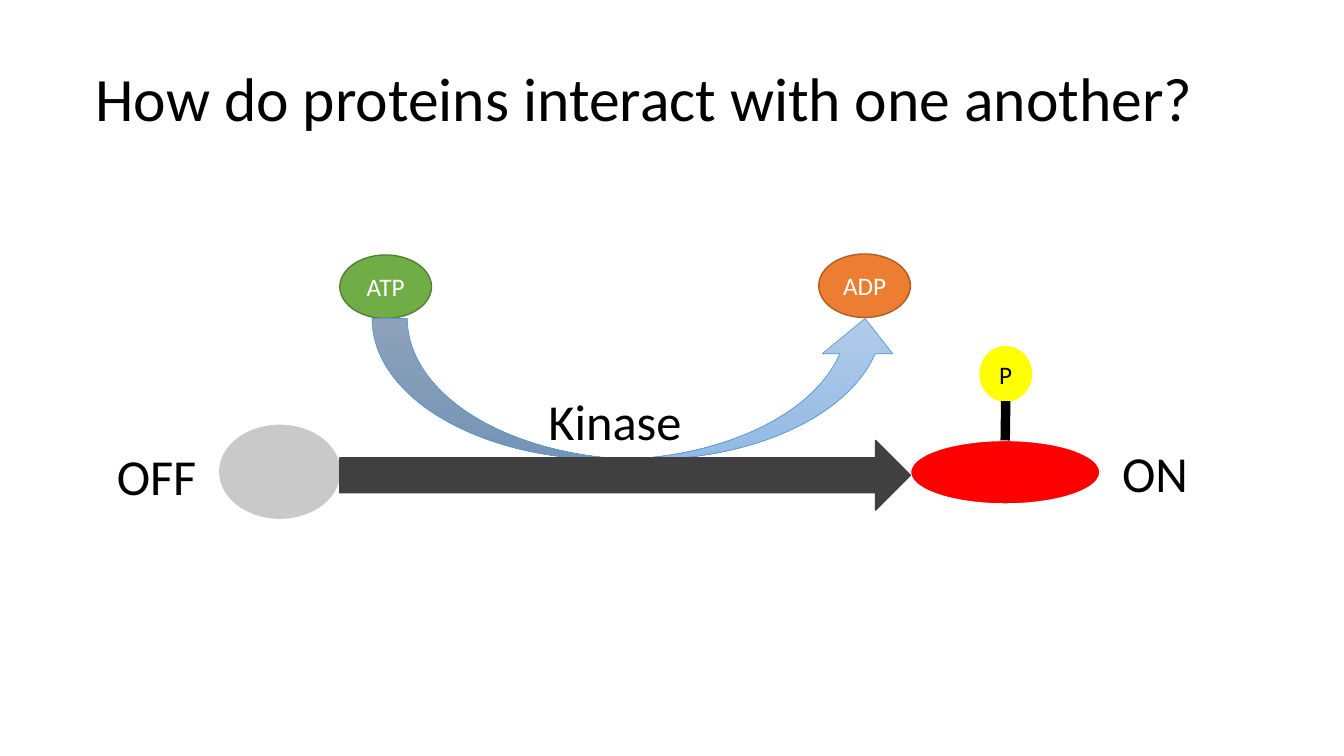
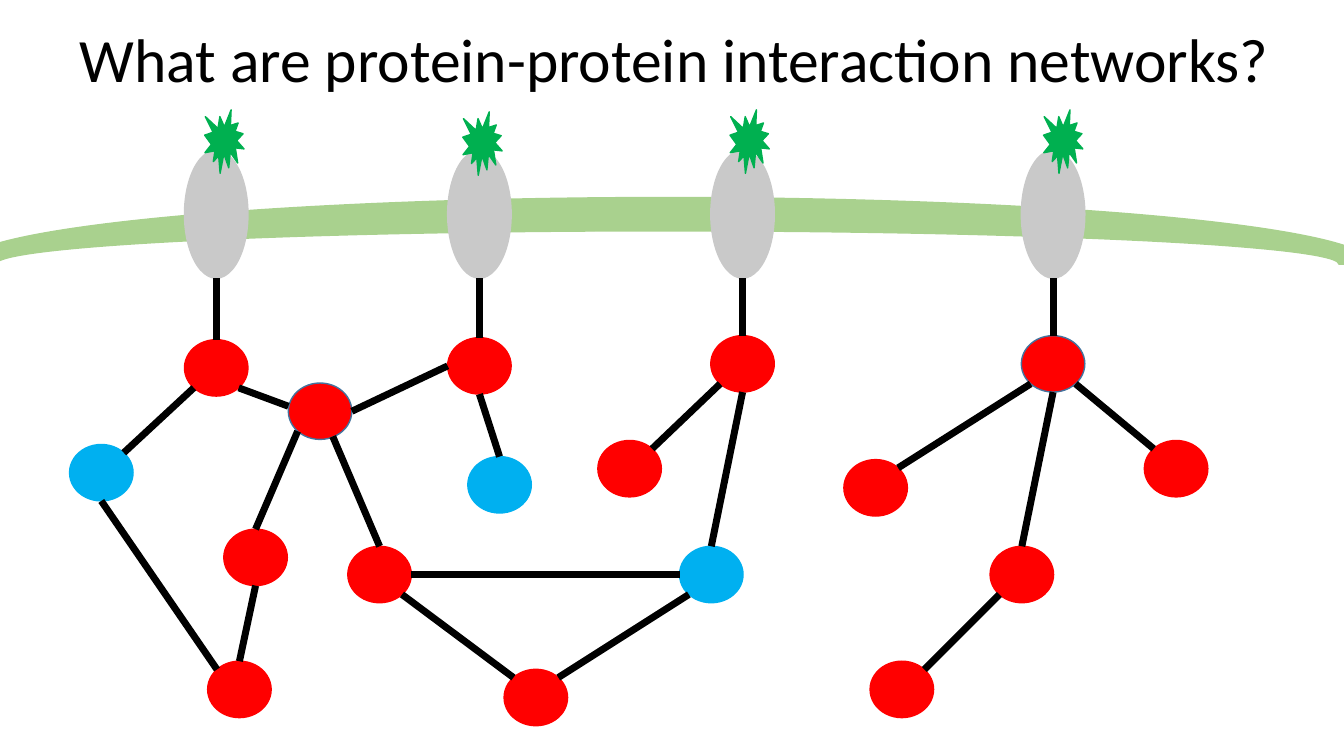
from dataclasses import dataclass
from math import cos, radians, sin

import lxml.etree
import pptx
import pptx.dml.color
import pptx.enum.shapes
import pptx.enum.text
import pptx.oxml.ns
import pptx.util

Inches = pptx.util.Inches
MSO_SHAPE = pptx.enum.shapes.MSO_SHAPE
PP_ALIGN = pptx.enum.text.PP_ALIGN
MSO_ANCHOR = pptx.enum.text.MSO_ANCHOR
qn = pptx.oxml.ns.qn


@dataclass(frozen=True)
class Theme:
    font: str = "Calibri"
    title_size: float = 44
    label_size: float = 36
    small_size: float = 18
    outline: float = 1
    link: float = 5
    stem: float = 6.75
    black: str = "000000"
    white: str = "FFFFFF"
    grey: str = "C9C9C9"
    dark: str = "404040"
    red: str = "FF0000"
    blue: str = "00B0F0"
    yellow: str = "FFFF00"
    hub_line: str = "43739E"
    ligand: str = "00B050"
    membrane: str = "A9D18E"
    atp: str = "70AD47"
    atp_line: str = "538035"
    adp: str = "ED7D31"
    adp_line: str = "AF5C24"
    swoosh_top: str = "B1CBE9"
    swoosh_bottom: str = "93B9E4"
    swoosh_line: str = "5B9BD5"


THEME = Theme()

# Connection sites of an ellipse, counter-clockwise from the top
TOP, TOP_LEFT, LEFT, BOTTOM_LEFT, BOTTOM, BOTTOM_RIGHT, RIGHT, TOP_RIGHT = range(8)

NODE_SIZE = (0.63, 0.56)
RECEPTOR_SIZE = (0.63, 1.27)
LIGAND_SIZE = (0.39, 0.63)
RECEPTOR_TOP = 1.49

# name: (left, top, fill, outline)
NODES = {
    "a": (1.83, 3.37, THEME.red, THEME.red),
    "b": (4.44, 3.35, THEME.red, THEME.red),
    "c": (7.05, 3.33, THEME.red, THEME.red),
    "d": (10.13, 3.33, THEME.red, THEME.hub_line),
    "hub": (2.86, 3.8, THEME.red, THEME.hub_line),
    "a_left": (0.69, 4.41, THEME.blue, THEME.blue),
    "a_end": (2.06, 6.56, THEME.red, THEME.red),
    "hub_left": (2.22, 5.25, THEME.red, THEME.red),
    "hub_right": (3.45, 5.42, THEME.red, THEME.red),
    "b_end": (4.64, 4.53, THEME.blue, THEME.blue),
    "c_left": (5.93, 4.37, THEME.red, THEME.red),
    "c_down": (6.74, 5.42, THEME.blue, THEME.blue),
    "shared": (5, 6.64, THEME.red, THEME.red),
    "d_left": (8.37, 4.56, THEME.red, THEME.red),
    "d_right": (11.35, 4.37, THEME.red, THEME.red),
    "d_down": (9.82, 5.42, THEME.red, THEME.red),
    "d_end": (8.63, 6.56, THEME.red, THEME.red),
}

# An end is (node, site), or a free point (x, y)
LINKS = [
    (("a", BOTTOM_RIGHT), (2.86, 4.03)),
    (("a", BOTTOM_LEFT), ("a_left", TOP_RIGHT)),
    (("a_left", BOTTOM), ("a_end", TOP_LEFT)),
    (("hub", BOTTOM_LEFT), ("hub_left", TOP)),
    ((3.3, 4.33), ("hub_right", TOP)),
    (("hub_left", BOTTOM), ("a_end", TOP)),
    (("b", LEFT), ("hub", RIGHT)),
    (("b", BOTTOM), ("b_end", TOP)),
    (("c", BOTTOM), ("c_down", TOP)),
    (("c", BOTTOM_LEFT), ("c_left", TOP_RIGHT)),
    (("c_down", LEFT), ("hub_right", RIGHT)),
    (("c_down", BOTTOM_LEFT), ("shared", TOP_RIGHT)),
    (("hub_right", BOTTOM_RIGHT), ("shared", TOP_LEFT)),
    (("d", BOTTOM_LEFT), ("d_left", TOP_RIGHT)),
    (("d", BOTTOM), ("d_down", TOP)),
    (("d", BOTTOM_RIGHT), ("d_right", TOP_LEFT)),
    (("d_down", BOTTOM_LEFT), ("d_end", TOP_RIGHT)),
]

# node below the receptor: (left, top) of the ligand
LIGANDS = {"a": (2.03, 1.09), "b": (4.59, 1.11), "c": (7.24, 1.09), "d": (10.35, 1.09)}


def rgb(value):
    return pptx.dml.color.RGBColor.from_string(value)


def write_text(sp, text, size=THEME.label_size, color=THEME.black, align=PP_ALIGN.LEFT,
               anchor=MSO_ANCHOR.TOP, spacing=None, margin=None):
    tf = sp.text_frame
    tf.word_wrap = True
    tf.vertical_anchor = anchor
    if margin is not None:
        tf.margin_left = tf.margin_right = Inches(margin)
    p = tf.paragraphs[0]
    p.alignment = align
    if spacing:
        p.line_spacing = spacing
    r = p.add_run()
    r.text = text
    r.font.name = THEME.font
    r.font.size = pptx.util.Pt(size)
    r.font.color.rgb = rgb(color)


def add_text(s, box, text, **fmt):
    write_text(s.shapes.add_textbox(*map(Inches, box)), text, **fmt)


def add_title(s, box, text):
    add_text(s, box, text, size=THEME.title_size, anchor=MSO_ANCHOR.MIDDLE, spacing=0.9)


def add_figure(s, kind, box, fill, line=None, width=THEME.outline):
    """Add a preset shape; a pair of fills makes a gradient from top to bottom."""
    sp = s.shapes.add_shape(kind, *map(Inches, box))
    sp.shadow.inherit = False
    if isinstance(fill, tuple):
        sp.fill.gradient()
        sp.fill.gradient_angle = 270
        for stop, color in zip(sp.fill.gradient_stops, fill):
            stop.color.rgb = rgb(color)
    else:
        sp.fill.solid()
        sp.fill.fore_color.rgb = rgb(fill)
    sp.line.color.rgb = rgb(line or fill)
    sp.line.width = pptx.util.Pt(width)
    return sp


def add_molecule(s, box, text, fill, line, color=THEME.white):
    sp = add_figure(s, MSO_SHAPE.OVAL, box, fill, line)
    write_text(sp, text, size=THEME.small_size, color=color, align=PP_ALIGN.CENTER,
               anchor=MSO_ANCHOR.MIDDLE, margin=0)
    return sp


def site_point(sp, site):
    """Return the place of a connection site on an ellipse."""
    angle = radians(90 + 45 * site)
    return (round(sp.left + sp.width / 2 * (1 + cos(angle))),
            round(sp.top + sp.height / 2 * (1 - sin(angle))))


def add_link(s, start, end, width=THEME.link):
    """Draw a line between two ends, each (ellipse, site) or a free point in inches."""
    points, joints = [], []
    for tag, (first, second) in (("a:stCxn", start), ("a:endCxn", end)):
        if isinstance(first, (int, float)):
            points += [Inches(first), Inches(second)]
        else:
            points += site_point(first, second)
            joints.append((tag, first.shape_id, second))
    cxn = s.shapes.add_connector(pptx.enum.shapes.MSO_CONNECTOR.STRAIGHT, *points)
    cxn.line.color.rgb = rgb(THEME.black)
    cxn.line.width = pptx.util.Pt(width)
    props = cxn._element.find(".//" + qn("p:cNvCxnSpPr"))
    for tag, shape_id, site in joints:
        lxml.etree.SubElement(props, qn(tag), id=str(shape_id), idx=str(site))
    lxml.etree.SubElement(cxn._element.spPr, qn("a:effectLst"))


def build_kinase_slide(s):
    add_title(s, (0.85, 0.28, 12.4, 1.45), "How do proteins interact with one another?")
    add_figure(s, MSO_SHAPE.OVAL, (2.18, 4.22, 1.19, 0.92), THEME.grey)
    active = add_figure(s, MSO_SHAPE.OVAL, (9.03, 4.37, 1.88, 0.63), THEME.red, THEME.white)
    add_text(s, (5.34, 3.82, 3.35, 0.71), "Kinase")
    add_molecule(s, (3.37, 2.53, 0.91, 0.63), "ATP", THEME.atp, THEME.atp_line)
    add_figure(s, MSO_SHAPE.CURVED_UP_ARROW, (3.69, 3.16, 5.24, 1.4),
               (THEME.swoosh_top, THEME.swoosh_bottom), THEME.swoosh_line, width=0.5)
    add_molecule(s, (8.12, 2.52, 0.91, 0.63), "ADP", THEME.adp, THEME.adp_line)
    add_figure(s, MSO_SHAPE.RIGHT_ARROW, (3.37, 4.37, 5.66, 0.69), THEME.dark)
    phosphate = add_molecule(s, (9.72, 3.44, 0.51, 0.54), "P", THEME.yellow, THEME.yellow,
                             color=THEME.black)
    add_link(s, (active, TOP), (phosphate, BOTTOM), width=THEME.stem)
    add_text(s, (1.06, 4.37, 1.62, 0.71), "OFF")
    add_text(s, (11.03, 4.34, 1.62, 0.71), "ON")


def build_network_slide(s):
    add_title(s, (0.69, 0, 12.6, 1.25), "What are protein-protein interaction networks?")
    membrane = add_figure(s, MSO_SHAPE.BLOCK_ARC, (-0.37, 1.96, 13.98, 1.32), THEME.membrane)
    for i, value in enumerate((108.079, 0, 0.25)):
        membrane.adjustments[i] = value

    nodes = {name: add_figure(s, MSO_SHAPE.OVAL, (left, top, *NODE_SIZE), fill, line)
             for name, (left, top, fill, line) in NODES.items()}
    for link in LINKS:
        add_link(s, *((nodes.get(first, first), second) for first, second in link))

    for name, corner in LIGANDS.items():
        receptor = add_figure(s, MSO_SHAPE.OVAL,
                              (NODES[name][0], RECEPTOR_TOP, *RECEPTOR_SIZE), THEME.grey)
        add_link(s, (receptor, BOTTOM), (nodes[name], TOP))
        add_figure(s, MSO_SHAPE.EXPLOSION1, (*corner, *LIGAND_SIZE), THEME.ligand)


def main():
    prs = pptx.Presentation()
    prs.slide_width, prs.slide_height = Inches(13.33), Inches(7.5)
    for build in (build_kinase_slide, build_network_slide):
        build(prs.slides.add_slide(prs.slide_layouts[6]))
    prs.save("out.pptx")


if __name__ == "__main__":
    main()
